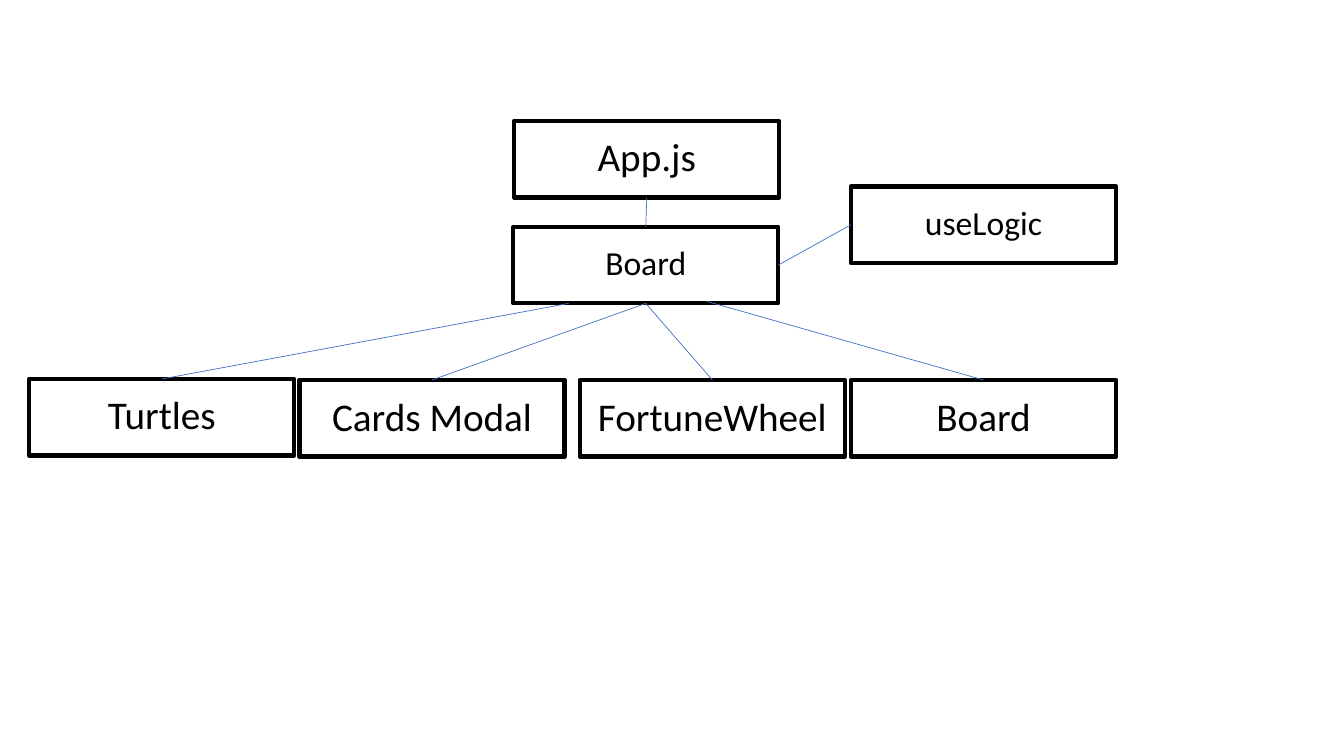
from pptx import Presentation
from pptx.dml.color import RGBColor
from pptx.enum.shapes import MSO_CONNECTOR, MSO_SHAPE
from pptx.enum.text import MSO_ANCHOR, PP_ALIGN
from pptx.oxml.ns import qn
from pptx.util import Inches, Pt

COLORS = {"ink": "000000", "link": "4472C4"}
BOX_W, BOX_H = 2.63, 0.76
COLS = {"turtles": 0.29, "cards": 2.97, "board": 5.09, "app": 5.1,
        "wheel": 5.75, "right": 8.44}
ROWS = {"app": 1.2, "logic": 1.85, "board": 2.25, "turtles": 3.76, "children": 3.77}
TOP, LEFT, BOTTOM, RIGHT = range(4)  # connection sites of a rectangle

prs = Presentation()
prs.slide_width, prs.slide_height = Inches(13.33), Inches(7.5)
s = prs.slides.add_slide(prs.slide_layouts[6])


def add_box(text, col, row, size):
    """Add an outlined component box at a named column and row."""
    sp = s.shapes.add_shape(MSO_SHAPE.RECTANGLE, Inches(COLS[col]), Inches(ROWS[row]),
                            Inches(BOX_W), Inches(BOX_H))
    sp.shadow.inherit = False
    sp.fill.background()
    sp.line.color.rgb = RGBColor.from_string(COLORS["ink"])
    sp.line.width = Pt(3)
    tf = sp.text_frame
    tf.text = text
    tf.word_wrap = True
    tf.vertical_anchor = MSO_ANCHOR.MIDDLE
    p = tf.paragraphs[0]
    p.alignment = PP_ALIGN.CENTER
    p.line_spacing = 0.9
    p.space_before = Pt(10)
    r = p.runs[0]
    r.font.name = "Calibri"
    r.font.size = Pt(size)
    r.font.color.rgb = RGBColor.from_string(COLORS["ink"])
    return sp


def add_link(parent, site, child, child_site, start=None):
    """Join two boxes, from a free start point (x, y) if one is given."""
    x, y = start or (0, 0)
    c = s.shapes.add_connector(MSO_CONNECTOR.STRAIGHT, Inches(x), Inches(y),
                               Inches(x), Inches(y))
    if start is None:
        c.begin_connect(parent, site)
    c.end_connect(child, child_site)
    c.line.color.rgb = RGBColor.from_string(COLORS["link"])
    c.line.width = Pt(0.5)
    c._element.spPr.append(c._element.makeelement(qn("a:effectLst"), {}))


app = add_box("App.js", "app", "app", 28)
board = add_box("Board", "board", "board", 24)
logic = add_box("useLogic", "right", "logic", 24)
add_link(app, BOTTOM, board, TOP)
add_link(logic, LEFT, board, RIGHT)

# Children of the board; the outer two links leave its edge off centre
for text, col, row, start in [
    ("Turtles", "turtles", "turtles", (5.64, 3.01)),
    ("Cards Modal", "cards", "children", None),
    ("FortuneWheel", "wheel", "children", None),
    ("Board", "right", "children", (7.01, 2.99)),
]:
    child = add_box(text, col, row, 28)
    add_link(board, BOTTOM, child, TOP, start)

prs.save("out.pptx")
